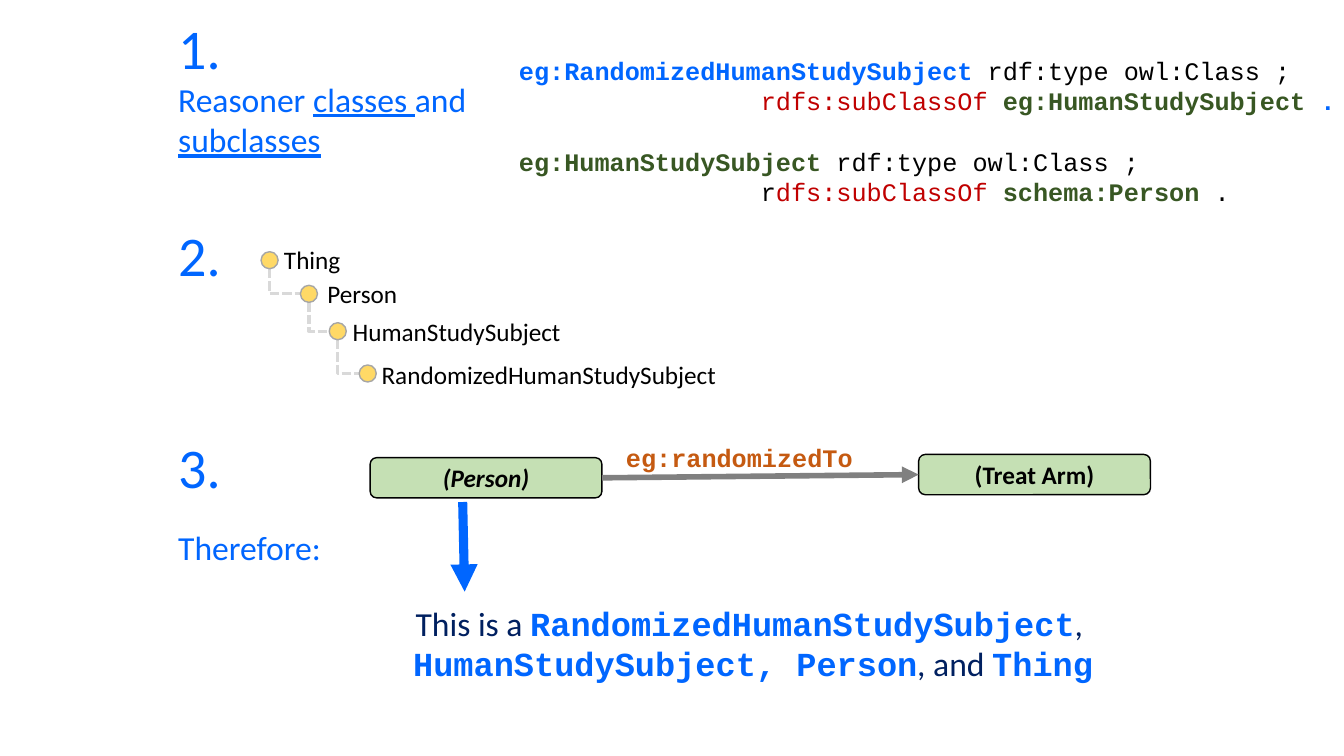
from dataclasses import dataclass

import pptx
import pptx.dml.color
import pptx.enum.dml
import pptx.enum.shapes
import pptx.enum.text
import pptx.oxml
import pptx.util
from lxml import etree
from pptx.util import Pt

DRAWING = "http://schemas.openxmlformats.org/drawingml/2006/main"
SHAPES = pptx.enum.shapes.MSO_SHAPE


@dataclass(frozen=True)
class Theme:
    blue: str = "0066FF"
    navy: str = "002060"
    black: str = "000000"
    red: str = "C00000"
    green: str = "385723"
    orange: str = "C55A11"
    node_fill: str = "C5E0B4"
    dot_fill: str = "FFD966"
    dot_line: str = "A6A6A6"
    branch: str = "D9D9D9"
    arrow: str = "808080"
    sans: str = "Calibri"
    mono: str = "Courier New"
    number: int = 40
    body: int = 24
    label: int = 18


THEME = Theme()


def rgb(code):
    return pptx.dml.color.RGBColor.from_string(code)


def style(font, name=None, size=None, color=None, bold=None, italic=None, underline=None):
    """Set only the font properties that are given."""
    given = {"name": name, "size": Pt(size) if size else None, "bold": bold,
             "italic": italic, "underline": underline}
    for attribute, value in given.items():
        if value is not None:
            setattr(font, attribute, value)
    if color:
        font.color.rgb = rgb(color)


def fill_para(para, spans, **font):
    """Add (text, own font settings) spans over a shared paragraph font."""
    style(para.font, **font)
    for text, own in spans:
        span = para.add_run()
        span.text = text
        style(span.font, **own)


def add_text(page, left, top, width, height, lines, wrap=True, align=None, **font):
    box = page.shapes.add_textbox(Pt(left), Pt(top), Pt(width), Pt(height))
    frame = box.text_frame
    frame.word_wrap = wrap
    frame.auto_size = pptx.enum.text.MSO_AUTO_SIZE.SHAPE_TO_FIT_TEXT
    for index, spans in enumerate(lines):
        para = frame.paragraphs[0] if index == 0 else frame.add_paragraph()
        para.alignment = align
        fill_para(para, spans, **font)
    return box


def add_label(page, left, top, width, height, text, wrap=False, **font):
    return add_text(page, left, top, width, height, [[(text, {})]], wrap, **font)


def add_filled(page, kind, left, top, width, height, fill, line):
    shape = page.shapes.add_shape(kind, Pt(left), Pt(top), Pt(width), Pt(height))
    shape.shadow.inherit = False
    shape.fill.solid()
    shape.fill.fore_color.rgb = rgb(fill)
    shape.line.color.rgb = rgb(line)
    shape.line.width = Pt(1)
    return shape


def add_node(page, left, top, text, italic=None):
    node = add_filled(page, SHAPES.ROUNDED_RECTANGLE, left, top, 165.6, 28.8,
                      THEME.node_fill, THEME.black)
    node.text_frame.vertical_anchor = pptx.enum.text.MSO_ANCHOR.MIDDLE
    para = node.text_frame.paragraphs[0]
    para.alignment = pptx.enum.text.PP_ALIGN.CENTER
    fill_para(para, [(text, {})], name=THEME.sans, size=THEME.label,
              color=THEME.black, bold=True, italic=italic)
    return node


def add_arrow(page, start, end, color, width):
    arrow = page.shapes.add_connector(
        pptx.enum.shapes.MSO_CONNECTOR.STRAIGHT, *(Pt(value) for value in start + end))
    arrow.line.color.rgb = rgb(color)
    arrow.line.width = Pt(width)
    head = etree.SubElement(arrow.line._get_or_add_ln(), f"{{{DRAWING}}}tailEnd")
    head.set("type", "triangle")
    etree.SubElement(arrow._element.spPr, f"{{{DRAWING}}}effectLst")
    return arrow


def add_branch(page, start, end):
    """Draw a dashed elbow that runs down, then right."""
    (left, top), (right, bottom) = start, end
    outline = page.shapes.build_freeform(Pt(left), Pt(top))
    outline.add_line_segments([(Pt(left), Pt(bottom)), (Pt(right), Pt(bottom))], close=False)
    branch = outline.convert_to_shape()
    branch.shadow.inherit = False
    branch.fill.background()
    branch.line.color.rgb = rgb(THEME.branch)
    branch.line.width = Pt(2.25)
    branch.line.dash_style = pptx.enum.dml.MSO_LINE.SQUARE_DOT


def add_class_tree(page):
    dot = 12.2
    levels = [  # name, dot left, dot top, label left, label top, label width
        ("Thing", 186.5, 179.8, 195.8, 171.2, 55.4),
        ("Person", 214.6, 203.8, 226.8, 195.3, 64.8),
        ("HumanStudySubject", 235.2, 230.5, 244.8, 222.6, 164.9),
        ("RandomizedHumanStudySubject", 256.6, 260.7, 265.5, 253, 256.3),
    ]
    for parent, child in zip(levels, levels[1:]):
        add_branch(page, (parent[1] + dot / 2, parent[2] + dot),
                   (child[1], child[2] + dot / 2))
    for name, dot_left, dot_top, left, top, width in levels:
        add_filled(page, SHAPES.OVAL, dot_left, dot_top, dot, dot,
                   THEME.dot_fill, THEME.dot_line)
        add_label(page, left, top, width, 28.8, name,
                  name=THEME.sans, size=THEME.label, color=THEME.black)


def add_ontology_code(page):
    subject = {"color": THEME.blue, "bold": True}
    known = {"color": THEME.green, "bold": True}
    plain = {"color": THEME.black}
    relation = {"color": THEME.red}
    indent = "                "
    code = add_text(page, 363.6, 36, 602.6, 116.6, [
        [("eg:RandomizedHumanStudySubject ", subject), ("rdf:type owl:Class ;", plain)],
        [(indent + "rdfs:subClassOf ", relation), ("eg:HumanStudySubject ", known),
         (".", subject)],
        [("eg:HumanStudySubject ", known), ("rdf:type owl:Class ;", plain)],
        [(indent + "r", plain), ("dfs:subClassOf ", relation),
         ("schema:Person ", known), (".", plain)],
    ], name=THEME.mono, size=THEME.label)
    code.text_frame.paragraphs[2].space_before = Pt(21.6)


def add_inference(page):
    person = add_node(page, 264.4, 326.9, "(Person)", italic=True)
    treatment = add_node(page, 656.2, 324.6, "(Treat Arm)")
    add_label(page, 440, 312.5, 226, 28.8, "eg:randomizedTo", wrap=True,
              name=THEME.mono, size=THEME.label, color=THEME.orange, bold=True)
    add_arrow(page, (330.5, 358.6), (331.9, 422.6), THEME.blue, 6.5)
    randomized = add_arrow(page, (430, 341.3), (656.2, 339), THEME.arrow, 4)
    randomized.begin_connect(person, 3)
    randomized.end_connect(treatment, 1)

    prose = {"name": THEME.sans, "color": THEME.navy}
    term = {"name": THEME.mono, "color": THEME.blue, "bold": True}
    add_text(page, 283, 427, 509.8, 65.5, [
        [("This is a ", prose), ("RandomizedHumanStudySubject", term), (", ", prose)],
        [("HumanStudySubject, Person", term), (", and ", prose), ("Thing", term)],
    ], wrap=False, align=pptx.enum.text.PP_ALIGN.CENTER, size=THEME.body)


def main():
    deck = pptx.Presentation()
    deck.slide_width, deck.slide_height = Pt(960), Pt(540)
    page = deck.slides.add_slide(deck.slide_layouts[6])

    margin = 120.2
    heading = {"name": THEME.sans, "color": THEME.blue}
    for number, top in enumerate((5.8, 154.1, 305.3), start=1):
        add_label(page, margin, top, 51.8, 55.4, f"{number}.", wrap=True,
                  size=THEME.number, **heading)
    underlined = {"underline": True}
    add_text(page, margin, 52.6, 257, 65.5, [
        [("Reasoner ", {}), ("classes ", underlined), ("and ", {}),
         ("subclasses", underlined)],
    ], size=THEME.body, **heading)
    add_label(page, margin, 373, 117.4, 36, "Therefore:", size=THEME.body, **heading)

    add_ontology_code(page)
    add_class_tree(page)
    add_inference(page)
    deck.save("out.pptx")


if __name__ == "__main__":
    main()
